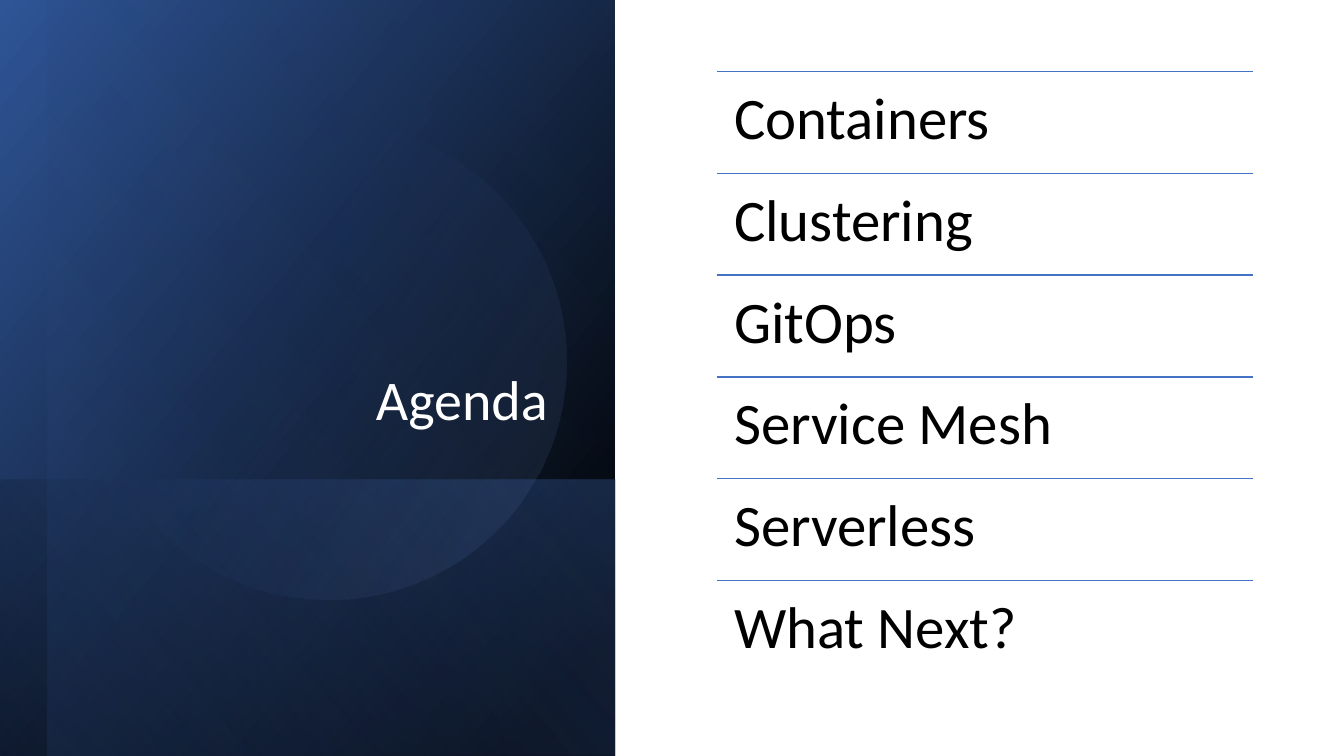
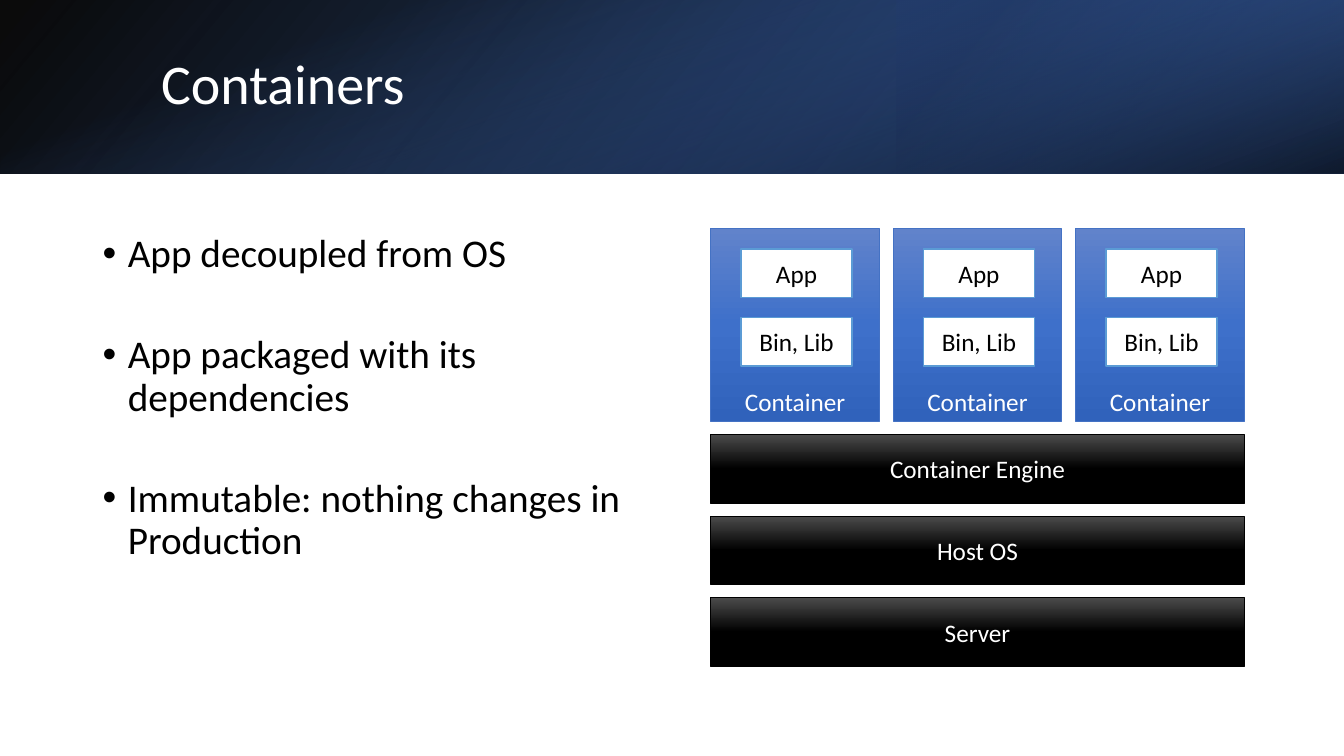
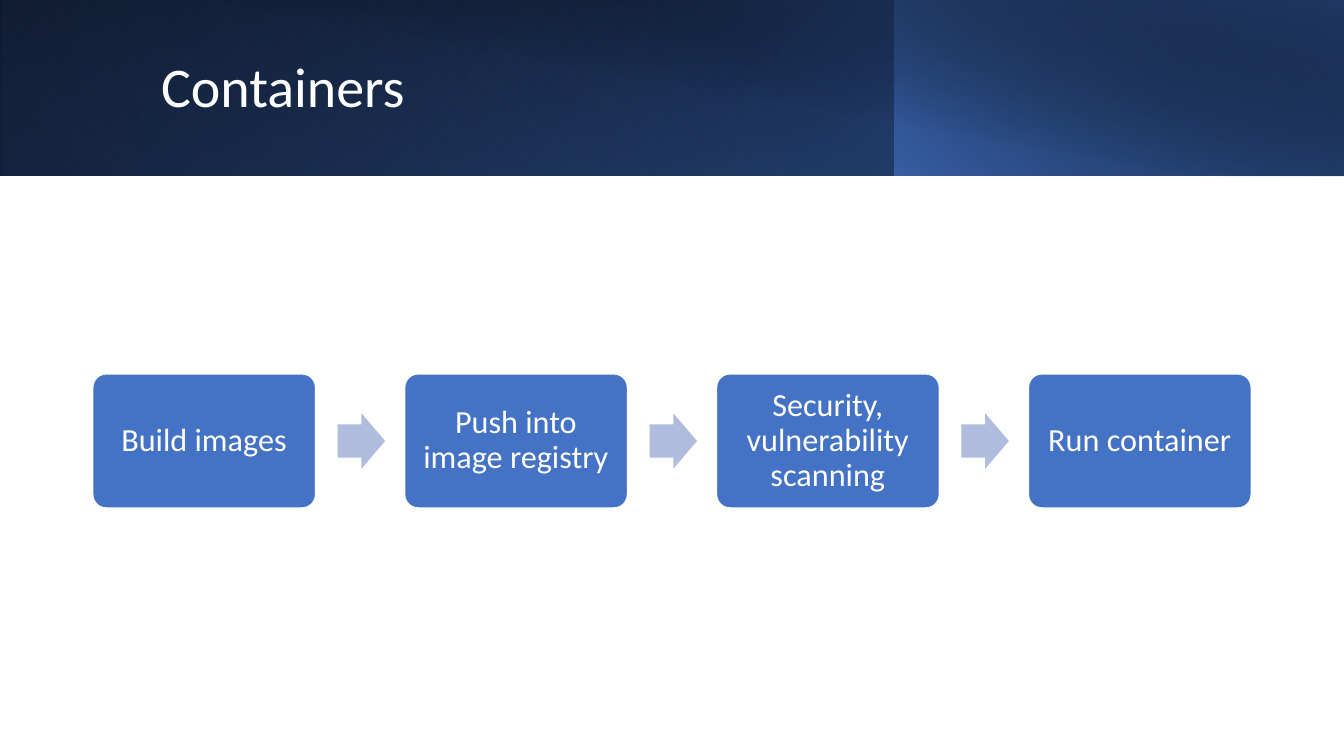
import pptx
import pptx.dml.color
import pptx.enum.shapes
import pptx.enum.text
import pptx.oxml
import pptx.oxml.ns
import pptx.util
from lxml import etree

RGBColor = pptx.dml.color.RGBColor
SHAPE = pptx.enum.shapes.MSO_SHAPE
ALIGN = pptx.enum.text.PP_ALIGN
ANCHOR = pptx.enum.text.MSO_ANCHOR
qn = pptx.oxml.ns.qn

PX = 9144  # 100 px to the inch
WIDTH, HEIGHT = 1333, 750
FONT = "Calibri"

WHITE = RGBColor(0xFF, 0xFF, 0xFF)
BLACK = RGBColor(0x00, 0x00, 0x00)
GREY = RGBColor(0x4B, 0x4B, 0x4B)
BLUE = RGBColor(0x44, 0x72, 0xC4)
DEEP_BLUE = RGBColor(0x2F, 0x55, 0x97)
NAVY = RGBColor(0x20, 0x38, 0x64)
PALE_BLUE = RGBColor(0x8F, 0xAA, 0xDC)
SKY = RGBColor(0x5B, 0x9B, 0xD5)
ARROW = RGBColor(0xB0, 0xBC, 0xDE)

# Gradient stops: position %, colour, opacity %
BLACK_STOPS = [(0, GREY, 100), (50, BLACK, 100), (100, BLACK, 100)]
BLUE_STOPS = [(0, RGBColor(0x61, 0x83, 0xCB), 100),
              (50, RGBColor(0x3E, 0x70, 0xCA), 100),
              (100, RGBColor(0x30, 0x62, 0xBB), 100)]


def emu(*lengths):
    return [round(v * PX) for v in lengths]


def fill_gradient(shape, stops, angle):
    shape.fill.gradient()
    grad = shape._element.spPr.find(qn("a:gradFill"))
    stop_list = grad.find(qn("a:gsLst"))
    for old in list(stop_list):
        stop_list.remove(old)
    for position, color, opacity in stops:
        gs = etree.SubElement(stop_list, qn("a:gs"), pos=str(position * 1000))
        clr = etree.SubElement(gs, qn("a:srgbClr"), val=str(color))
        if opacity < 100:
            etree.SubElement(clr, qn("a:alpha"), val=str(opacity * 1000))
    grad.find(qn("a:lin")).set("ang", str(angle * 60000))


def add_shape(s, kind, box, fill=None, line=None, line_width=1):
    sp = s.shapes.add_shape(kind, *emu(*box))
    sp.shadow.inherit = False
    if fill is not None:
        sp.fill.solid()
        sp.fill.fore_color.rgb = fill
    if line is None:
        sp.line.fill.background()
    else:
        sp.line.color.rgb = line
        sp.line.width = pptx.util.Pt(line_width)
    return sp


def add_layer(s, box, stops, angle, rot=0, flip=False, kind=SHAPE.RECTANGLE):
    """Gradient layer that covers box as seen after its rotation."""
    x, y, w, h = box
    if rot == 90:
        x, y, w, h = x + (w - h) / 2, y + (h - w) / 2, h, w
    sp = add_shape(s, kind, (x, y, w, h))
    fill_gradient(sp, stops, angle)
    sp.rotation = rot
    if flip:
        sp._element.spPr.find(qn("a:xfrm")).set("flipH", "1")


def set_text(sp, text, size, color, align=ALIGN.LEFT, anchor=ANCHOR.MIDDLE,
             inset=(10, 5), spacing=0.9):
    """Fill a shape with text, one paragraph to a line."""
    tf = sp.text_frame
    tf.word_wrap = True
    tf.vertical_anchor = anchor
    tf.margin_left = tf.margin_right = inset[0] * PX
    tf.margin_top = tf.margin_bottom = inset[1] * PX
    tf.text = text
    for p in tf.paragraphs:
        p.alignment = align
        p.line_spacing = spacing
        for r in p.runs:
            r.font.name = FONT
            r.font.size = pptx.util.Pt(size)
            r.font.color.rgb = color


def add_text(s, box, *args, **kwargs):
    sp = s.shapes.add_textbox(*emu(*box))
    set_text(sp, *args, **kwargs)
    return sp


def add_title(s, box, text, align=ALIGN.LEFT, anchor=ANCHOR.MIDDLE):
    add_text(s, box, text, 40, WHITE, align, anchor)


def add_rule(s, x, y, w):
    line = s.shapes.add_connector(pptx.enum.shapes.MSO_CONNECTOR.STRAIGHT,
                                  *emu(x, y, x + w, y))
    line.line.color.rgb = BLUE
    line.line.width = pptx.util.Pt(1)
    etree.SubElement(line._element.spPr, qn("a:effectLst"))


def agenda_panel(s, box, title):
    x, y, w, h = box
    add_layer(s, box, [(8, BLACK, 100), (100, DEEP_BLUE, 100)], 50, 90, True)
    add_layer(s, (x, y + 476, w, h - 476),
              [(2, BLUE, 29), (100, BLACK, 30)], 130, 90, True)
    add_layer(s, (x + 47, y, w - 47, h),
              [(0, BLACK, 0), (99, BLUE, 11)], 130, 90, True)
    add_layer(s, (x + 90, y + 123, 472, 472),
              [(39, BLUE, 0), (100, PALE_BLUE, 15)], 290, 101.6,
              kind=SHAPE.OVAL)
    add_title(s, (x + 90, y + 64, 463, 370), title, ALIGN.RIGHT, ANCHOR.BOTTOM)


def agenda_list(s, box, items):
    x, y, w, h = box
    row = h / len(items)
    for i, item in enumerate(items):
        top = y + i * row
        add_rule(s, x, top, w)
        add_text(s, (x, top, w, row), item, 42, BLACK, anchor=ANCHOR.TOP,
                 inset=(17, 17))


def side_lit_band(s, box, title):
    x, y, w, h = box
    add_layer(s, box, [(0, BLACK, 96), (100, DEEP_BLUE, 100)], 140, flip=True)
    add_layer(s, (x + 889, y, w - 889, h),
              [(19, NAVY, 68), (100, BLUE, 79)], 320, 180, True)
    add_layer(s, box, [(23, BLUE, 0), (99, BLACK, 74)], 340, 90)
    add_title(s, (x + 150, y + 38, 1098, 96), title)


def split_band(s, box, title):
    x, y, w, h = box
    split = 887
    add_layer(s, box, [(0, BLACK, 100), (100, DEEP_BLUE, 100)], 140, flip=True)
    add_layer(s, (x, y, split + 1, h),
              [(20, BLUE, 0), (100, NAVY, 55)], 230, 180, True)
    add_layer(s, (x + split, y, w - split, h),
              [(0, BLUE, 66), (100, BLACK, 30)], 220, flip=True)
    add_layer(s, (x + 50, y, w - 50, h + 1),
              [(50, BLACK, 0), (99, NAVY, 52)], 280)
    add_title(s, (x + 150, y + 32, 1082, 113), title)


def bullet_list(s, box, items):
    sp = add_text(s, box, "\n".join(items), 28, BLACK, anchor=ANCHOR.TOP)
    for p in sp.text_frame.paragraphs:
        p.space_after = pptx.util.Pt(42)
        pPr = p._p.get_or_add_pPr()
        pPr.set("marL", str(25 * PX))
        pPr.set("indent", str(-25 * PX))
        etree.SubElement(pPr, qn("a:buFont"), typeface="Arial")
        etree.SubElement(pPr, qn("a:buChar"), char="•")


def container(s, box, parts):
    x, y, w, h = box
    sp = add_shape(s, SHAPE.RECTANGLE, box, line=BLUE, line_width=0.5)
    fill_gradient(sp, BLUE_STOPS, 90)
    set_text(sp, "Container", 18, WHITE, ALIGN.CENTER, ANCHOR.BOTTOM, spacing=1)
    for i, part in enumerate(parts):
        sp = add_shape(s, SHAPE.RECTANGLE, (x + 30, y + 20 + i * 68, 110, 48),
                       WHITE, SKY)
        set_text(sp, part, 18, BLACK, ALIGN.CENTER, spacing=1)


def container_stack(s, box, layers, parts, count=3):
    """Containers side by side on top of full-width platform layers."""
    x, y, w, h = box
    layer_h, gap, container_w = 68, 13, 167
    step = layer_h + gap
    container_h = h - len(layers) * step
    for i, layer in enumerate(layers):
        sp = add_shape(s, SHAPE.RECTANGLE,
                       (x, y + container_h + gap + i * step, w, layer_h),
                       line=BLACK, line_width=0.5)
        fill_gradient(sp, BLACK_STOPS, 90)
        set_text(sp, layer, 18, WHITE, ALIGN.CENTER, spacing=1)
    pitch = (w - container_w) / (count - 1)
    for i in range(count):
        container(s, (x + i * pitch, y, container_w, container_h), parts)


def process_flow(s, box, steps):
    x, y, w, h = box
    step_w, arrow_w, arrow_h = 221, 47, 55
    pitch = (w - step_w) / (len(steps) - 1)
    for i, step in enumerate(steps):
        left = x + i * pitch
        sp = add_shape(s, SHAPE.ROUNDED_RECTANGLE, (left, y, step_w, h),
                       BLUE, WHITE)
        sp.adjustments[0] = 0.1
        set_text(sp, step, 23, WHITE, ALIGN.CENTER, inset=(10, 10))
        if i < len(steps) - 1:
            sp = add_shape(s, SHAPE.RIGHT_ARROW,
                           (left + step_w + 22, y + (h - arrow_h) / 2,
                            arrow_w, arrow_h), ARROW)
            sp.adjustments[0] = 0.6


def main():
    prs = pptx.Presentation()
    prs.slide_width, prs.slide_height = emu(WIDTH, HEIGHT)
    agenda, stack, flow = [prs.slides.add_slide(prs.slide_layouts[6])
                           for _ in range(3)]

    agenda_panel(agenda, (0, 0, 610, HEIGHT), "Agenda")
    agenda_list(agenda, (711, 71, 532, 606),
                ["Containers", "Clustering", "GitOps", "Service Mesh",
                 "Serverless", "What Next?"])

    side_lit_band(stack, (0, 0, WIDTH, 172), "Containers")
    bullet_list(stack, (92, 227, 560, 448),
                ["App decoupled from OS", "App packaged with its dependencies",
                 "Immutable: nothing changes in Production"])
    container_stack(stack, (705, 227, 529, 434),
                    ["Container Engine", "Host OS", "Server"],
                    ["App", "Bin, Lib"])

    split_band(flow, (0, 0, WIDTH, 174), "Containers")
    process_flow(flow, (92, 371, 1149, 133),
                 ["Build images", "Push into image registry",
                  "Security, vulnerability scanning", "Run container"])

    prs.save("out.pptx")


if __name__ == "__main__":
    main()
